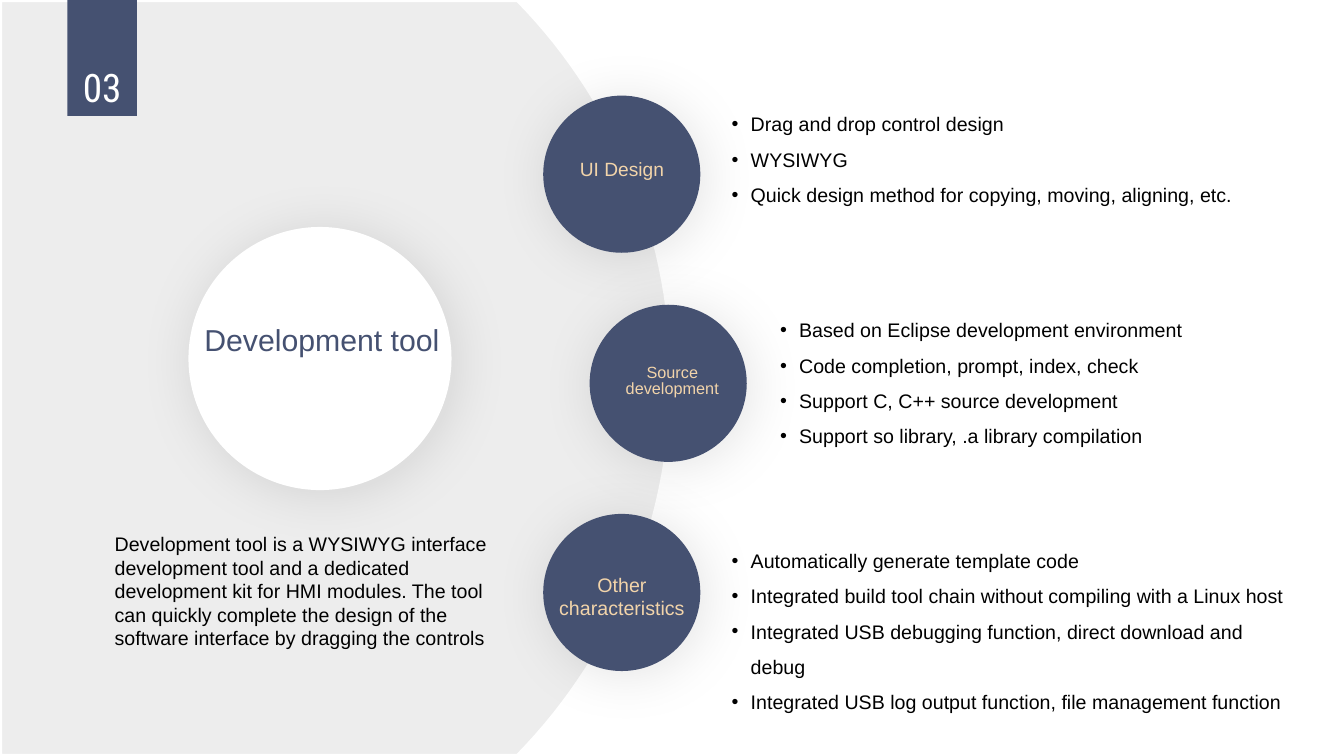
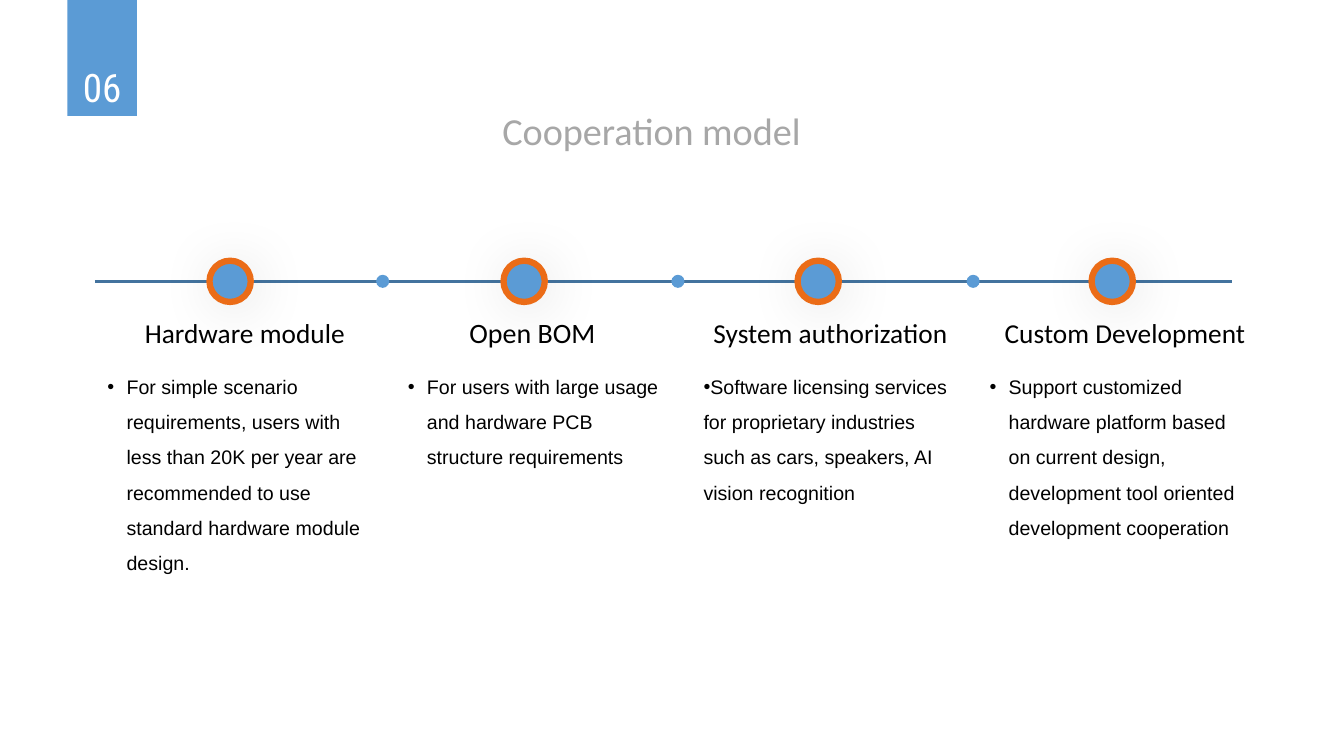
from math import asin, cos, sin

from lxml.etree import SubElement
from pptx import Presentation
from pptx.dml.color import RGBColor
from pptx.enum.shapes import MSO_CONNECTOR, MSO_SHAPE
from pptx.enum.text import MSO_ANCHOR, PP_ALIGN
from pptx.oxml.ns import qn
from pptx.util import Cm, Pt

# Shared look
PAGE_WIDTH, PAGE_HEIGHT = 33.87, 19.05
NAVY, BLUE, STEEL, ORANGE = "455171", "5B9BD5", "43739E", "EB6C17"
CREAM, PALE, GREY, BLACK, WHITE = "F2D4AA", "EDEDED", "A7A7A7", "000000", "FFFFFF"
BODY = {"name": "Arial", "size": Pt(14)}
HEADING = {"name": "Calibri", "size": Pt(19.5)}
TITLE = {"name": "Calibri", "size": Pt(27.3)}
NUMBER = {"name": "Roboto Condensed", "size": Pt(28)}
CENTRED = {"alignment": PP_ALIGN.CENTER}
TIGHT = {"alignment": PP_ALIGN.CENTER, "line_spacing": 0.8}
LOOSE = {"line_spacing": 1.5}
HANGING = 0.48


def paint(color_format, color):
    color_format.rgb = RGBColor.from_string(color)


def cm(*lengths):
    return [Cm(length) for length in lengths]


def apply(target, values):
    for name, value in values.items():
        setattr(target, name, value)


# Building blocks
def finish_shape(shape, fill, line=None, line_width=0):
    shape.fill.solid()
    paint(shape.fill.fore_color, fill)
    if line:
        shape.line.fill.solid()
        paint(shape.line.fill.fore_color, line)
        shape.line.width = Pt(line_width)
    else:
        shape.line.fill.background()
    shape.shadow.inherit = False


def add_shadow(shape):
    effects = shape.element.spPr.find(qn("a:effectLst"))
    shadow = SubElement(effects, qn("a:outerShdw"), blurRad=str(Pt(40)), dist=str(Pt(4)),
                        dir="2700000", algn="tl", rotWithShape="0")
    tint = SubElement(shadow, qn("a:srgbClr"), val=BLACK)
    SubElement(tint, qn("a:alpha"), val="11000")


def add_circle(page, left, top, diameter, fill, shadow=False, **outline):
    circle = page.shapes.add_shape(MSO_SHAPE.OVAL, *cm(left, top, diameter, diameter))
    finish_shape(circle, fill, **outline)
    if shadow:
        add_shadow(circle)


def add_bullet(para, hanging):
    properties = para._p.get_or_add_pPr()
    properties.set("marL", str(Cm(hanging)))
    properties.set("indent", str(-Cm(hanging)))
    SubElement(properties, qn("a:buFont"), typeface="Arial")
    SubElement(properties, qn("a:buChar"), char="•")


def add_text(page, box, lines, font, color=BLACK, layout=None, hanging=None,
             anchor=MSO_ANCHOR.TOP):
    frame = page.shapes.add_textbox(*cm(*box)).text_frame
    frame.word_wrap = True
    frame.vertical_anchor = anchor
    for index, line in enumerate(lines):
        para = frame.add_paragraph() if index else frame.paragraphs[0]
        if hanging is not None:
            add_bullet(para, hanging)
        apply(para, layout or {})
        span = para.add_run()
        span.text = line
        apply(span.font, font)
        paint(span.font.color, color)


def add_number_tab(page, box, number, fill):
    left, top, width, height = box
    tab = page.shapes.add_shape(MSO_SHAPE.RECTANGLE, *cm(*box))
    finish_shape(tab, fill)
    add_text(page, (left, top + height / 2, width, height / 2), [number], NUMBER, WHITE, CENTRED)


# Development tool slide
def add_backdrop(page, box):
    left, top, width, height = box
    radius, steps = 13.6, 60
    centre_x, centre_y = left + width - radius, top + height / 2
    half_angle = asin(height / 2 / radius)
    angles = [half_angle * (2 * step / steps - 1) for step in range(steps + 1)]
    arc = [cm(centre_x + radius * cos(angle), centre_y + radius * sin(angle)) for angle in angles]
    builder = page.shapes.build_freeform(*cm(left, top))
    builder.add_line_segments(arc + [cm(left, top + height)], close=True)
    finish_shape(builder.convert_to_shape(), PALE, WHITE, 3)


def add_subject(page, box, name, description):
    left, top, width, height = box
    add_circle(page, left + 2.11, top, 6.63, WHITE, shadow=True)
    add_text(page, (left + 2.21, top + 2.43, 6.53, 1.8), [name],
             {**BODY, "size": Pt(21.6)}, NAVY, TIGHT)
    add_text(page, (left, top + 7.56, width, height - 7.56), [description], BODY)


def add_feature(page, box, feature):
    left, top, width, height = box
    shift_x, shift_y = feature["label_shift"]
    text_x, text_y = feature["text_shift"]
    add_circle(page, left, top, height, NAVY, shadow=True)
    add_text(page, (left + shift_x, top + shift_y, 3.71, 1.12), [feature["label"]],
             {**BODY, "size": Pt(feature["size"])}, CREAM, feature["layout"])
    add_text(page, (left + text_x, top + text_y, width - text_x, height), feature["points"],
             BODY, layout=LOOSE, hanging=HANGING)


FEATURES = [
    {"label": "UI Design", "size": 13.7, "layout": CENTRED, "left": 13.69, "width": 18.32,
     "label_shift": (0.13, 1.43), "text_shift": (4.5, 0),
     "points": ["Drag and drop control design", "WYSIWYG",
                "Quick design method for copying, moving, aligning, etc."]},
    {"label": "Source development", "size": 11.6, "layout": TIGHT, "left": 14.86, "width": 15.37,
     "label_shift": (0.23, 1.42), "text_shift": (4.55, -0.08),
     "points": ["Based on Eclipse development environment",
                "Code completion, prompt, index, check",
                "Support C, C++ source development",
                "Support so library, .a library compilation"]},
    {"label": "Other characteristics", "size": 14, "layout": CENTRED, "left": 13.69,
     "width": 19.31, "label_shift": (0.13, 1.35), "text_shift": (4.5, 0.46),
     "points": ["Automatically generate template code",
                "Integrated build tool chain without compiling with a Linux host",
                "Integrated USB debugging function, direct download and debug",
                "Integrated USB log output function, file management function"]},
]


def build_tool_slide(page, tab_box):
    add_backdrop(page, (0, 0, 16.94, PAGE_HEIGHT))
    add_subject(page, (2.64, 5.72, 10.31, 10.81), "Development tool",
                "Development tool is a WYSIWYG interface development tool and a dedicated "
                "development kit for HMI modules. The tool can quickly complete the design "
                "of the software interface by dragging the controls")
    for row, feature in enumerate(FEATURES):
        add_feature(page, (feature["left"], 2.41 + 5.27 * row, feature["width"], 3.96), feature)
    add_number_tab(page, tab_box, "03", NAVY)


# Cooperation model slide
def add_timeline(page, box, stages):
    left, top, width, height = box
    middle = top + height / 2
    axis = page.shapes.add_connector(MSO_CONNECTOR.STRAIGHT,
                                     *cm(left, middle, left + width, middle))
    paint(axis.line.color, STEEL)
    axis.line.width = Pt(2.25)
    SubElement(axis.element.spPr, qn("a:effectLst"))
    for stage in range(stages):
        add_circle(page, left + 2.89 + 7.41 * stage, top, height, BLUE, shadow=True,
                   line=ORANGE, line_width=4.5)
    dot = 0.33
    for gap in range(stages - 1):
        add_circle(page, left + 7.09 + 7.44 * gap, middle - dot / 2, dot, BLUE)


def add_stage(page, box, heading, heading_shift, size, hanging, description):
    left, top, width, height = box
    add_text(page, (left + heading_shift, top, width, 1.12), [heading],
             {**HEADING, "size": Pt(size)}, anchor=MSO_ANCHOR.MIDDLE)
    add_text(page, (left, top + 1.2, width, height - 1.2), [description], BODY,
             layout=LOOSE, hanging=hanging)


# Left edge, heading, heading shift, heading size, hanging indent, description
STAGES = [
    (2.46, "Hardware module", 0.94, 19.5, HANGING,
     "For simple scenario requirements, users with less than 20K per year are "
     "recommended to use standard hardware module design."),
    (10.03, "Open BOM", 1.55, 20, HANGING,
     "For users with large usage and hardware PCB structure requirements"),
    (17.48, "System authorization", 0.25, 19.5, 0,
     "Software licensing services for proprietary industries such as cars, speakers, "
     "AI vision recognition"),
    (24.69, "Custom Development", 0.38, 19.5, HANGING,
     "Support customized hardware platform based on current design, development tool "
     "oriented development cooperation"),
]


def build_cooperation_slide(page, tab_box):
    add_number_tab(page, tab_box, "06", BLUE)
    add_text(page, (11.96, 2.59, 8.92, 1.45), ["Cooperation model"], TITLE, GREY, CENTRED)
    add_timeline(page, (2.39, 6.57, 28.65, 1.04), len(STAGES))
    for left, *content in STAGES:
        add_stage(page, (left, 7.82, 6.88, 8.19), *content)


def main():
    deck = Presentation()
    deck.slide_width, deck.slide_height = cm(PAGE_WIDTH, PAGE_HEIGHT)
    for build in (build_tool_slide, build_cooperation_slide):
        page = deck.slides.add_slide(deck.slide_layouts[6])
        build(page, (1.7, 0, 1.75, 2.92))
    deck.save("out.pptx")


if __name__ == "__main__":
    main()
